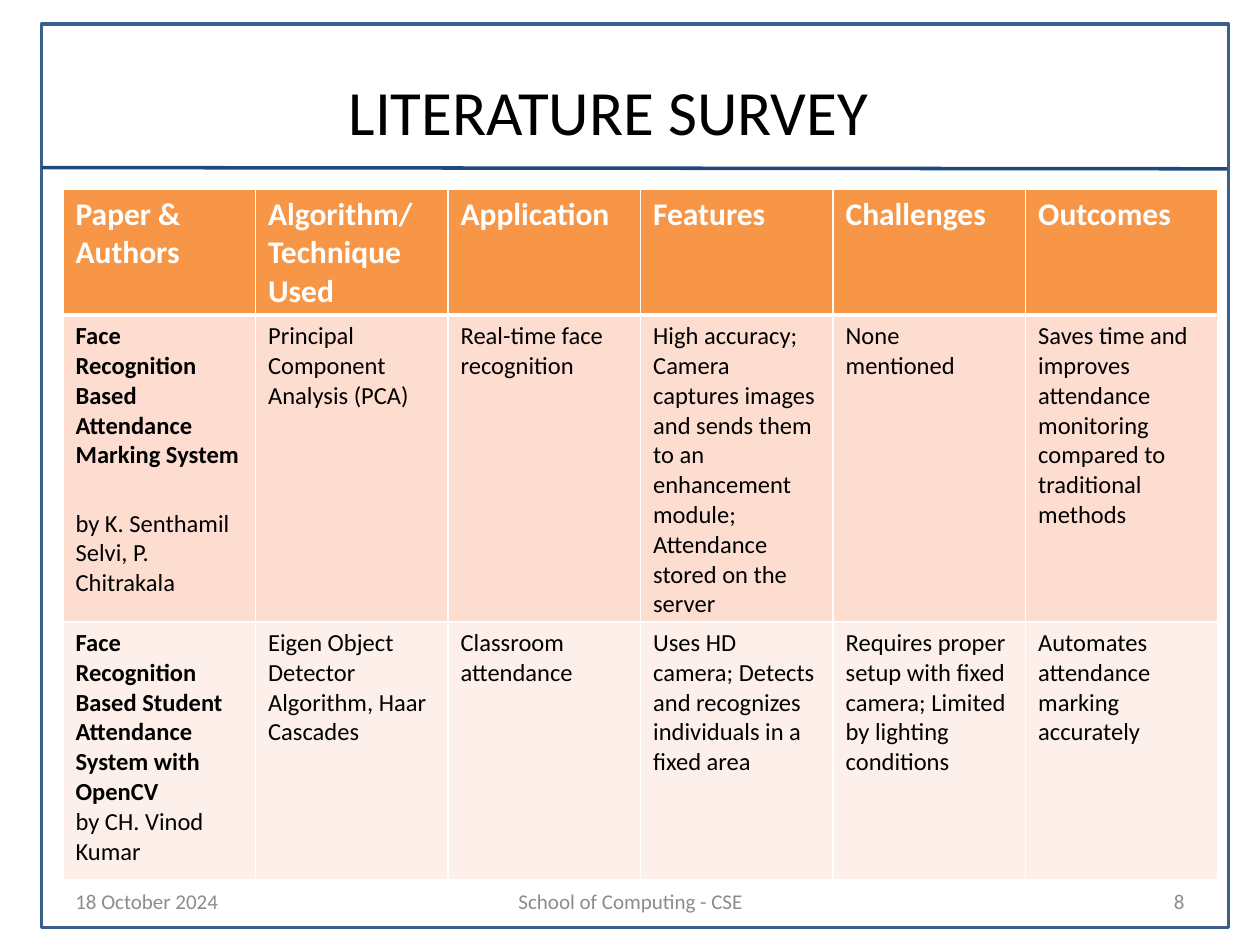
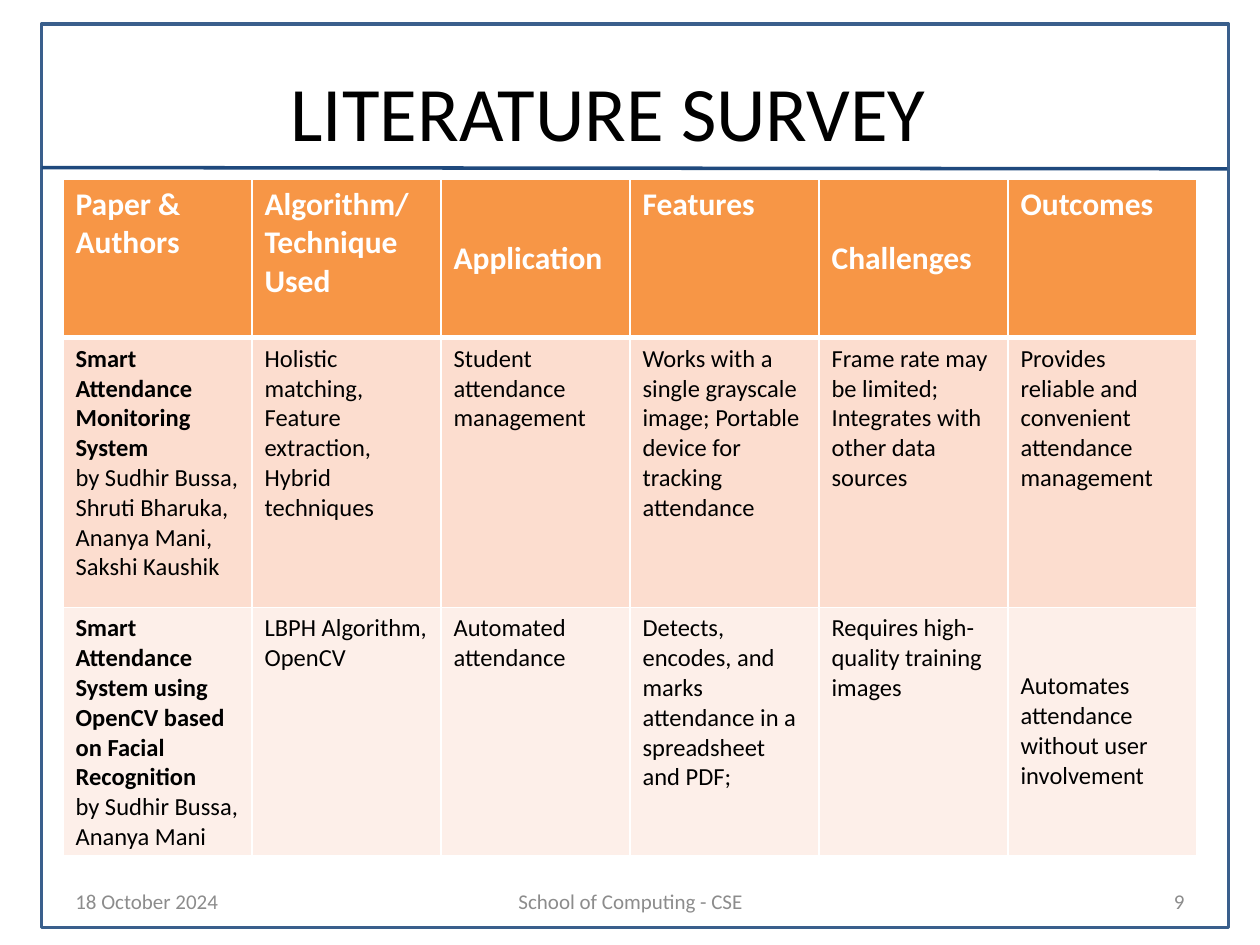
"""Build two literature survey slides, each with a framed title and a comparison table."""
from lxml import etree
from pptx import Presentation
from pptx import util as u
from pptx.dml.color import RGBColor
from pptx.enum import shapes, text
from pptx.oxml import ns

COLORS = {
    "frame": "3A5F8C",
    "rule": "1F497D",
    "black": "000000",
    "white": "FFFFFF",
    "footer": "8C8C8C",
    "header": "F79646",
    "odd_row": "FCDDCF",
    "even_row": "FDEFE9",
}
FONT = "Calibri"
TITLE = "LITERATURE SURVEY"
DATE = "18 October 2024"
SCHOOL = "School of Computing - CSE"
HEADINGS = ["Paper & Authors", "Algorithm/\nTechnique Used", "Application",
            "Features", "Challenges", "Outcomes"]

SURVEYS = [
    {
        "number": "8", "title_size": 36,
        "top": 1.5, "width": 9.17, "row_heights": [0.94, 2.27, 2.05],
        "middle_cells": [],
        "papers": [
            [("Face Recognition Based Attendance Marking System ",
              "by K. Senthamil Selvi, P. Chitrakala"),
             "Principal Component Analysis (PCA)",
             "Real-time face recognition",
             "High accuracy; Camera captures images and sends them to an "
             "enhancement module; Attendance stored on the server",
             "None mentioned",
             "Saves time and improves attendance monitoring compared to "
             "traditional methods"],
            [("Face Recognition Based Student Attendance System with OpenCV ",
              "by CH. Vinod Kumar"),
             "Eigen Object Detector Algorithm, Haar Cascades",
             "Classroom attendance",
             "Uses HD camera; Detects and recognizes individuals in a fixed area",
             "Requires proper setup with fixed camera; Limited by lighting conditions",
             "Automates attendance marking accurately"],
        ],
    },
    {
        "number": "9", "title_size": 44,
        "top": 1.42, "width": 9, "row_heights": [1.26, 2.14, 1.73],
        "middle_cells": [(0, 2), (0, 4), (2, 5)],
        "papers": [
            [("Smart Attendance Monitoring System ",
              "by Sudhir Bussa, Shruti Bharuka, Ananya Mani, Sakshi Kaushik"),
             "Holistic matching, Feature extraction, Hybrid techniques",
             "Student attendance management",
             "Works with a single grayscale image; Portable device for "
             "tracking attendance",
             "Frame rate may be limited; Integrates with other data sources",
             "Provides reliable and convenient attendance management"],
            [("Smart Attendance System using OpenCV based on Facial Recognition ",
              "by Sudhir Bussa, Ananya Mani"),
             "LBPH Algorithm, OpenCV",
             "Automated attendance",
             "Detects, encodes, and marks attendance in a spreadsheet and PDF;",
             "Requires high-quality training images",
             "Automates attendance without user involvement"],
        ],
    },
]


def color(name):
    return RGBColor.from_string(COLORS[name])


def add_run(paragraph, words, size, color_name, bold=False):
    run = paragraph.add_run()
    run.text = words
    run.font.name = FONT
    run.font.size = u.Pt(size)
    run.font.bold = bold
    run.font.color.rgb = color(color_name)


def add_frame(slide):
    frame = slide.shapes.add_shape(
        shapes.MSO_SHAPE.RECTANGLE,
        u.Inches(0.33), u.Inches(0.19), u.Inches(9.42), u.Inches(7.17))
    frame.shadow.inherit = False
    frame.fill.background()
    frame.line.color.rgb = color("frame")
    frame.line.width = u.Pt(2)
    rule = slide.shapes.add_connector(
        shapes.MSO_CONNECTOR.STRAIGHT,
        u.Inches(0.33), u.Inches(1.33), u.Inches(9.74), u.Inches(1.34))
    rule.line.color.rgb = color("rule")
    rule.line.width = u.Pt(2)
    etree.SubElement(rule._element.spPr, ns.qn("a:effectLst"))


def add_title(slide, size):
    title = slide.shapes.title
    title.left, title.top = u.Inches(0.33), u.Inches(0.25)
    title.width, title.height = u.Inches(9), u.Inches(1.25)
    title.text_frame.vertical_anchor = text.MSO_ANCHOR.MIDDLE
    paragraph = title.text_frame.paragraphs[0]
    paragraph.alignment = text.PP_ALIGN.CENTER
    add_run(paragraph, TITLE, size, "black")


def add_footer(slide, number):
    items = [
        (DATE, 0.5, 2.33, text.PP_ALIGN.LEFT),
        (SCHOOL, 3.42, 3.17, text.PP_ALIGN.CENTER),
        (number, 7.17, 2.33, text.PP_ALIGN.RIGHT),
    ]
    for words, left, width, alignment in items:
        shape = slide.shapes.add_textbox(
            u.Inches(left), u.Inches(6.95), u.Inches(width), u.Inches(0.4))
        shape.text_frame.word_wrap = True
        shape.text_frame.vertical_anchor = text.MSO_ANCHOR.MIDDLE
        paragraph = shape.text_frame.paragraphs[0]
        paragraph.alignment = alignment
        add_run(paragraph, words, 12, "footer")


def set_borders(cell, row):
    widths = {"L": 1, "R": 1, "T": 3 if row == 1 else 1, "B": 3 if row == 0 else 1}
    properties = cell._tc.get_or_add_tcPr()
    for position, (side, width) in enumerate(widths.items()):
        line = etree.Element(ns.qn(f"a:ln{side}"), w=str(u.Pt(width)))
        fill = etree.SubElement(line, ns.qn("a:solidFill"))
        etree.SubElement(fill, ns.qn("a:srgbClr"), val=COLORS["white"])
        properties.insert(position, line)


def fill_cell(cell, content, row):
    cell.fill.solid()
    cell.fill.fore_color.rgb = color(("header", "odd_row", "even_row")[row])
    set_borders(cell, row)
    frame = cell.text_frame
    paragraph = frame.paragraphs[0]
    if isinstance(content, tuple):
        paper, authors = content
        add_run(paragraph, paper, 14, "black", bold=True)
        paragraph.add_line_break()
        add_run(paragraph, authors, 14, "black")
    elif row == 0:
        for index, words in enumerate(content.split("\n")):
            paragraph = frame.add_paragraph() if index else paragraph
            add_run(paragraph, words, 18, "white", bold=True)
    else:
        add_run(paragraph, content, 14, "black")


def add_survey_table(slide, survey):
    rows = [HEADINGS] + survey["papers"]
    table = slide.shapes.add_table(
        len(rows), len(HEADINGS), u.Inches(0.5), u.Inches(survey["top"]),
        u.Inches(survey["width"]), u.Inches(sum(survey["row_heights"]))).table
    table.horz_banding = False
    for row, contents in enumerate(rows):
        table.rows[row].height = u.Inches(survey["row_heights"][row])
        for column, content in enumerate(contents):
            fill_cell(table.cell(row, column), content, row)
    for row, column in survey["middle_cells"]:
        table.cell(row, column).vertical_anchor = text.MSO_ANCHOR.MIDDLE


def main():
    presentation = Presentation()
    presentation.slide_width, presentation.slide_height = u.Inches(10), u.Inches(7.5)
    for survey in SURVEYS:
        slide = presentation.slides.add_slide(presentation.slide_layouts[5])
        add_frame(slide)
        add_title(slide, survey["title_size"])
        add_footer(slide, survey["number"])
        add_survey_table(slide, survey)
    presentation.save("out.pptx")


if __name__ == "__main__":
    main()
